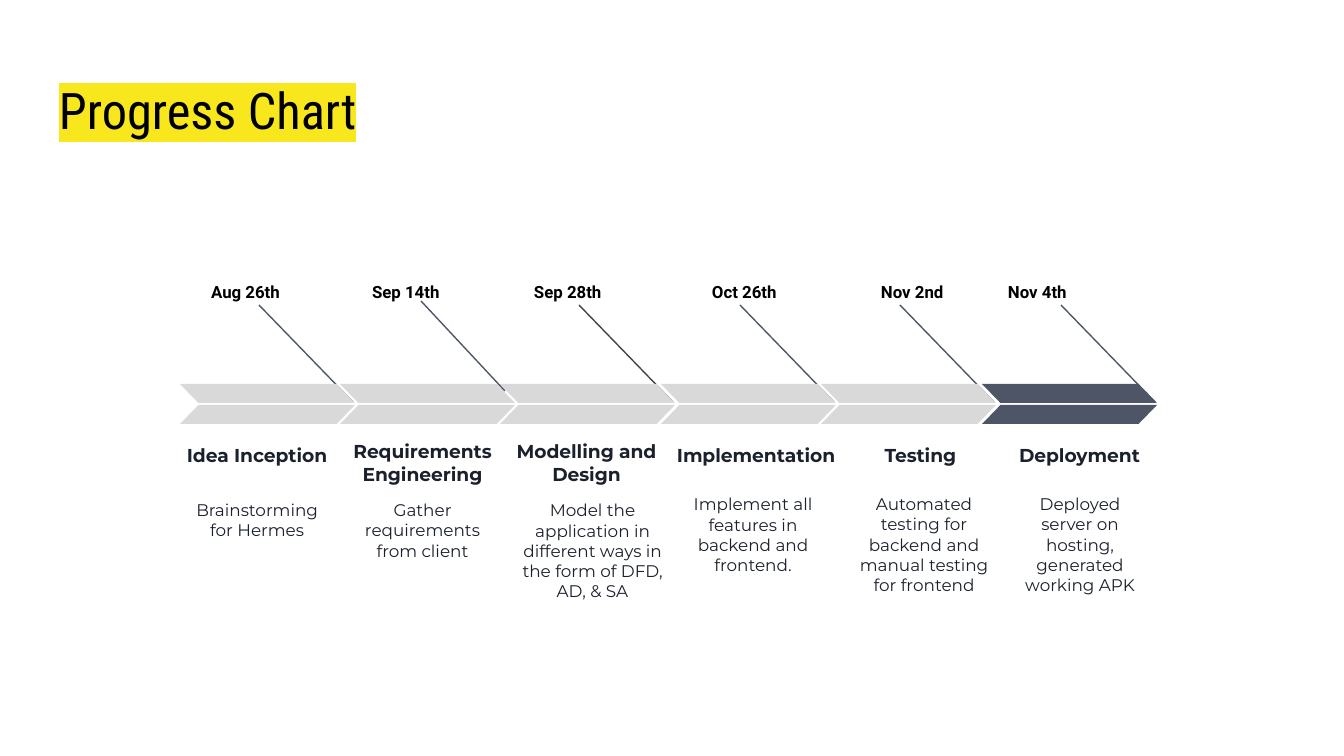
from dataclasses import dataclass
from typing import NamedTuple

from lxml.etree import SubElement
from pptx import Presentation
from pptx.dml.color import RGBColor
from pptx.enum.shapes import MSO_CONNECTOR, MSO_SHAPE
from pptx.enum.text import MSO_ANCHOR, MSO_AUTO_SIZE, PP_ALIGN
from pptx.oxml.ns import qn
from pptx.util import Pt

SCALE = 914400 / 134.4


class Box(NamedTuple):
    left: int
    top: int
    width: int
    height: int


@dataclass(frozen=True)
class Style:
    size: int
    face: str
    color: str
    bold: bool = False
    align: PP_ALIGN = PP_ALIGN.LEFT
    after: int = 0


@dataclass(frozen=True)
class Theme:
    mark: str = "F8E71C"
    gray: str = "D9D9D9"
    slate: str = "4E5567"
    coal: str = "434343"
    white: str = "FFFFFF"
    line: float = 0.75
    pad: int = 13
    title: Style = Style(27, "Roboto Condensed", "000000")
    date: Style = Style(9, "Roboto", "000000", True)
    name: Style = Style(10, "Montserrat", "1B212C", True, PP_ALIGN.CENTER)
    note: Style = Style(9, "Montserrat", "1B212C", False, PP_ALIGN.CENTER, 16)


@dataclass(frozen=True)
class Stage:
    date: str
    spot: Box
    name: str
    head: Box
    note: str
    body: Box
    anchor: MSO_ANCHOR
    fill: str
    line: str


THEME = Theme()
TOP, MID = MSO_ANCHOR.TOP, MSO_ANCHOR.MIDDLE
STAGES = [
    Stage("Aug 26th", Box(198, 269, 106, 51),
          "Idea Inception", Box(171, 426, 172, 59),
          "Brainstorming for Hermes", Box(171, 487, 172, 98),
          TOP, THEME.gray, THEME.slate),
    Stage("Sep 14th", Box(359, 269, 106, 51),
          "Requirements Engineering", Box(339, 433, 167, 59),
          "Gather requirements from client", Box(339, 487, 167, 98),
          TOP, THEME.gray, THEME.white),
    Stage("Sep 28th", Box(521, 269, 102, 51),
          "Modelling and Design", Box(503, 433, 167, 59),
          "Model the application in different ways in the form of DFD, AD, & SA",
          Box(505, 487, 175, 126), TOP, THEME.gray, THEME.coal),
    Stage("Oct 26th", Box(699, 269, 94, 51),
          "Implementation", Box(661, 426, 190, 59),
          "Implement all features in backend and frontend.",
          Box(673, 478, 160, 113), MID, THEME.gray, THEME.slate),
    Stage("Nov 2nd", Box(868, 269, 94, 51),
          "Testing", Box(837, 426, 167, 59),
          "Automated testing for backend and manual testing for frontend",
          Box(844, 488, 160, 113), MID, THEME.gray, THEME.slate),
    Stage("Nov 4th", Box(995, 269, 94, 51),
          "Deployment", Box(996, 426, 167, 59),
          "Deployed server on hosting, generated working APK",
          Box(1000, 488, 160, 113), MID, THEME.slate, THEME.slate),
]
FIRST, LAST = 180, 982
BAR_TOPS = (384, 405)


def emu(px: int) -> int:
    return round(px * SCALE)


def apply(item, form: dict) -> None:
    for key, value in form.items():
        setattr(item, key, value)


def write(shape, text: str, style: Style, anchor: MSO_ANCHOR = TOP):
    frame = shape.text_frame
    pad = emu(THEME.pad)
    apply(frame, dict(word_wrap=True, auto_size=MSO_AUTO_SIZE.NONE,
                      vertical_anchor=anchor, margin_left=pad,
                      margin_right=pad, margin_top=pad, margin_bottom=pad))
    para = frame.paragraphs[0]
    apply(para, dict(alignment=style.align, space_after=Pt(style.after)))
    run = para.add_run()
    run.text = text
    apply(run.font, dict(size=Pt(style.size), name=style.face, bold=style.bold))
    run.font.color.rgb = RGBColor.from_string(style.color)
    return run


def label(slide, box: Box, text: str, style: Style, anchor: MSO_ANCHOR = TOP) -> None:
    write(slide.shapes.add_textbox(*map(emu, box)), text, style, anchor)


def title(slide, box: Box, text: str) -> None:
    shape = slide.shapes.title
    apply(shape, dict(zip(box._fields, map(emu, box))))
    props = write(shape, text, THEME.title)._r.get_or_add_rPr()
    mark = SubElement(props, qn("a:highlight"))
    SubElement(mark, qn("a:srgbClr"), val=THEME.mark)
    props.find(qn("a:latin")).addprevious(mark)


def line(slide, ends: tuple[int, int, int, int], color: str) -> None:
    link = slide.shapes.add_connector(MSO_CONNECTOR.STRAIGHT, *map(emu, ends))
    link.line.color.rgb = RGBColor.from_string(color)
    link.line.width = Pt(THEME.line)
    SubElement(link._element.spPr, qn("a:effectLst"))


def bar(slide, box: Box, color: str, flip: bool) -> None:
    shape = slide.shapes.add_shape(MSO_SHAPE.PARALLELOGRAM, *map(emu, box))
    shape.adjustments[0] = 0.97
    shape.shadow.inherit = False
    shape.fill.solid()
    shape.fill.fore_color.rgb = RGBColor.from_string(color)
    shape.line.fill.background()
    if flip:
        shape._element.spPr.xfrm.set("flipH", "1")


def main() -> None:
    deck = Presentation()
    apply(deck, dict(slide_width=emu(1344), slide_height=emu(756)))
    slide = deck.slides.add_slide(deck.slide_layouts[5])
    title(slide, Box(46, 66, 1253, 85), "Progress Chart")
    for step, stage in enumerate(STAGES):
        left = FIRST + (LAST - FIRST) * step // (len(STAGES) - 1)
        line(slide, (left + 79, 305, left + 173, 402), stage.line)
        for top in BAR_TOPS:
            bar(slide, Box(left, top, 175, 19), stage.fill, top == BAR_TOPS[0])
    line(slide, (421, 301, 505, 391), THEME.slate)
    for stage in STAGES:
        label(slide, stage.spot, stage.date, THEME.date)
        label(slide, stage.head, stage.name, THEME.name, MID)
        label(slide, stage.body, stage.note, THEME.note, stage.anchor)
    deck.save("out.pptx")


if __name__ == "__main__":
    main()
